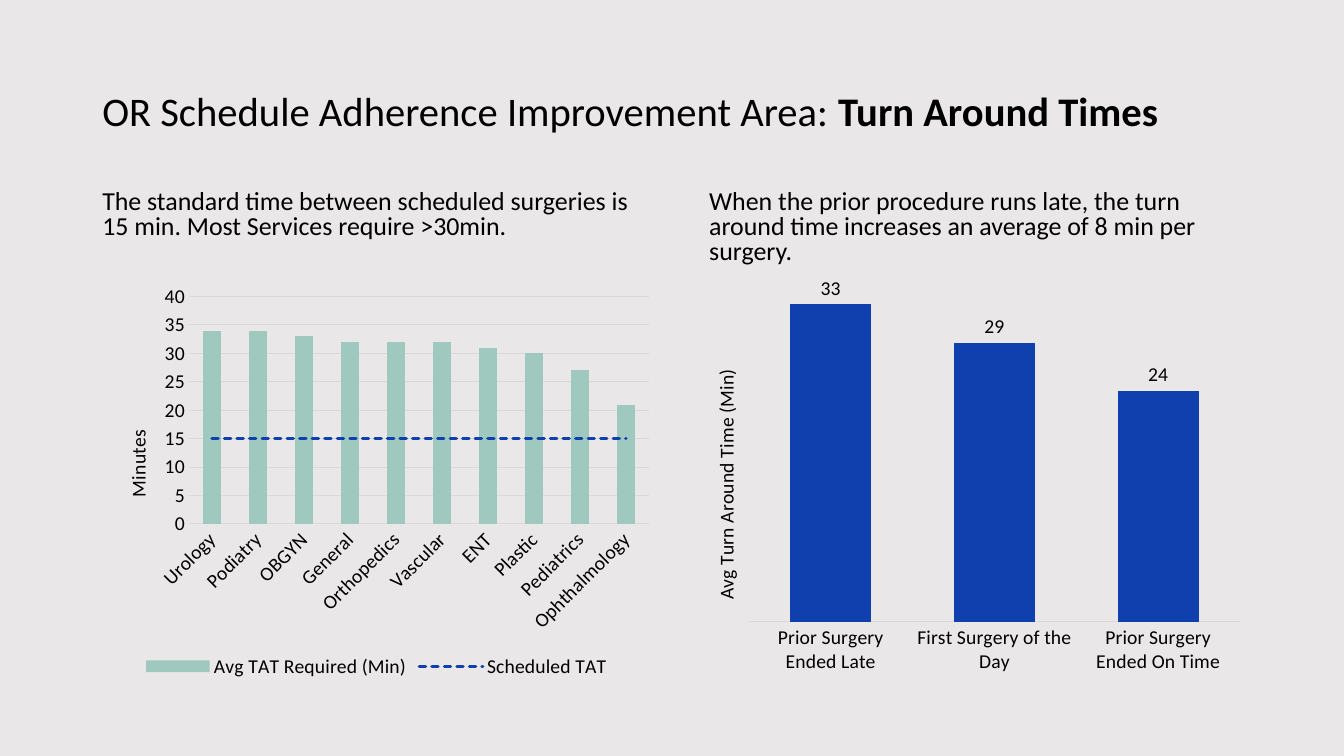
"""Slide on operating room turn around times, with two charts."""
from copy import deepcopy
from pptx import Presentation
from pptx.chart.data import CategoryChartData as Data
from pptx.dml.color import RGBColor
from pptx.enum.chart import XL_CHART_TYPE as Kind, XL_LABEL_POSITION as Spot
from pptx.enum.chart import XL_LEGEND_POSITION as Side, XL_MARKER_STYLE as Mark
from pptx.enum.chart import XL_TICK_MARK as Tick
from pptx.enum.dml import MSO_LINE as Dash
from pptx.enum.text import MSO_ANCHOR as Anchor
from pptx.oxml import parse_xml
from pptx.oxml.ns import nsdecls
from pptx.util import Pt

PX = 9525
FONT = "Calibri"
BLACK, GREY, GREEN, BLUE = "000000", "D9D9D9", "9FC8BE", "0F40AE"


def paint(fmt, color):
    fmt.solid()
    fmt.fore_color.rgb = RGBColor.from_string(color)


def style(font, size, bold=False):
    font.name, font.size, font.bold = FONT, Pt(size), bold
    paint(font.fill, BLACK)


deck = Presentation()
deck.slide_width, deck.slide_height = 1280 * PX, 720 * PX
slide = deck.slides.add_slide(deck.slide_layouts[6])
paint(slide.background.fill, "E9E7E7")

texts = [
    ((88, 38, 1104, 139), 29, 0.9, 0, Anchor.MIDDLE,
     [("OR Schedule Adherence Improvement Area: ", False),
      ("Turn Around Times", True)]),
    ((88, 177, 541, 86), 18.5, 0.8, 10, Anchor.TOP,
     [("The standard time between scheduled surgeries is 15 min. "
       "Most Services require >30min.", False)]),
    ((666, 177, 544, 86), 18.5, 0.8, 10, Anchor.TOP,
     [("When the prior procedure runs late, the turn around time "
       "increases an average of 8 min per surgery.", False)]),
]
for box, size, space, before, anchor, runs in texts:
    frame = slide.shapes.add_textbox(*(n * PX for n in box)).text_frame
    frame.word_wrap, frame.vertical_anchor = True, anchor
    para = frame.paragraphs[0]
    para.line_spacing, para.space_before = space, Pt(before)
    for words, bold in runs:
        run = para.add_run()
        run.text = words
        style(run.font, size, bold)

services = ["Urology", "Podiatry", "OBGYN", "General", "Orthopedics",
            "Vascular", "ENT", "Plastic", "Pediatrics", "Ophthalmology"]
starts = ["Prior Surgery Ended Late", "First Surgery of the Day",
          "Prior Surgery Ended On Time"]
specs = [
    ((88, 263, 541, 387), services,
     [("Avg TAT Required (Min)", [34, 34, 33, 32, 32, 32, 31, 30, 27, 21]),
      ("Scheduled TAT", [15] * 10)],
     GREEN, 150, 40, "Minutes", (0.05, 0.37), (0.17, 0.05, 0.81, 0.56)),
    ((648, 263, 544, 387), starts, [("Series 1", [33, 29, 24])],
     BLUE, 102, 35, "Avg Turn Around Time (Min)", (0.05, 0.22),
     (0.12, 0.02, 0.86, 0.83)),
]
charts = []
for box, cats, rows, color, gap, top, name, spot, area in specs:
    data = Data()
    data.categories = cats
    for row in rows:
        data.add_series(*row)
    place = (n * PX for n in box)
    chart = slide.shapes.add_chart(Kind.COLUMN_CLUSTERED, *place, data).chart
    charts.append(chart)
    chart.has_title = chart.has_legend = False
    style(chart.font, 14)
    plot = chart.plots[0]
    plot.gap_width, plot.vary_by_categories = gap, False
    paint(plot.series[0].format.fill, color)

    base, scale = chart.category_axis, chart.value_axis
    for axis in (base, scale):
        axis.major_tick_mark = axis.minor_tick_mark = Tick.NONE
        style(axis.tick_labels.font, 14)
    paint(base.format.line.fill, GREY)
    base.format.line.width = Pt(0.75)
    scale.format.line.fill.background()
    scale.minimum_scale, scale.maximum_scale = 0, top
    scale.has_major_gridlines = False
    run = scale.axis_title.text_frame.paragraphs[0].add_run()
    run.text = name
    style(run.font, 14)

    root = chart.element
    title = root.xpath(".//c:valAx/c:title")[0]
    field = root.xpath(".//c:plotArea")[0]
    for part, keys, vals in ((title, "xy", spot), (field, "xywh", area)):
        for old in part.xpath("c:layout"):
            part.remove(old)
        inner = '<c:layoutTarget val="inner"/>' if part is field else ""
        modes = "".join(f'<c:{k}Mode val="edge"/>' for k in "xy")
        sizes = "".join(f'<c:{k} val="{v}"/>' for k, v in zip(keys, vals))
        part.insert(1 if part is title else 0, parse_xml(
            f'<c:layout {nsdecls("c")}><c:manualLayout>{inner}{modes}{sizes}'
            '</c:manualLayout></c:layout>'))

left, right = charts
scale = left.value_axis
scale.major_unit, scale.has_major_gridlines = 5, True
grid = scale.major_gridlines.format.line
paint(grid.fill, GREY)
grid.width = Pt(0.75)
left.element.xpath(".//c:catAx/c:txPr/a:bodyPr")[0].set("rot", "-2700000")
left.has_legend = True
left.legend.position, left.legend.include_in_layout = Side.BOTTOM, False
style(left.legend.font, 14)

bars = left.element.xpath(".//c:barChart")[0]
lines = parse_xml(
    f'<c:lineChart {nsdecls("c")}><c:grouping val="standard"/>'
    '<c:varyColors val="0"/></c:lineChart>')
goal = bars.xpath("c:ser")[1]
for old in goal.xpath("c:invertIfNegative"):
    goal.remove(old)
lines.append(goal)
for link in bars.xpath("c:axId"):
    lines.append(deepcopy(link))
bars.addnext(lines)
goal = left.plots[1].series[0]
goal.smooth, goal.marker.style = False, Mark.NONE
stroke = goal.format.line
paint(stroke.fill, BLUE)
stroke.width, stroke.dash_style = Pt(2.25), Dash.SQUARE_DOT
lines.xpath("c:ser/c:spPr/a:ln")[0].set("cap", "rnd")

right.value_axis.visible = False
plot = right.plots[0]
plot.has_data_labels = True
labels = plot.data_labels
labels.show_value, labels.position = True, Spot.OUTSIDE_END
labels.number_format, labels.number_format_is_linked = "0", False
style(labels.font, 14)

deck.save("out.pptx")
